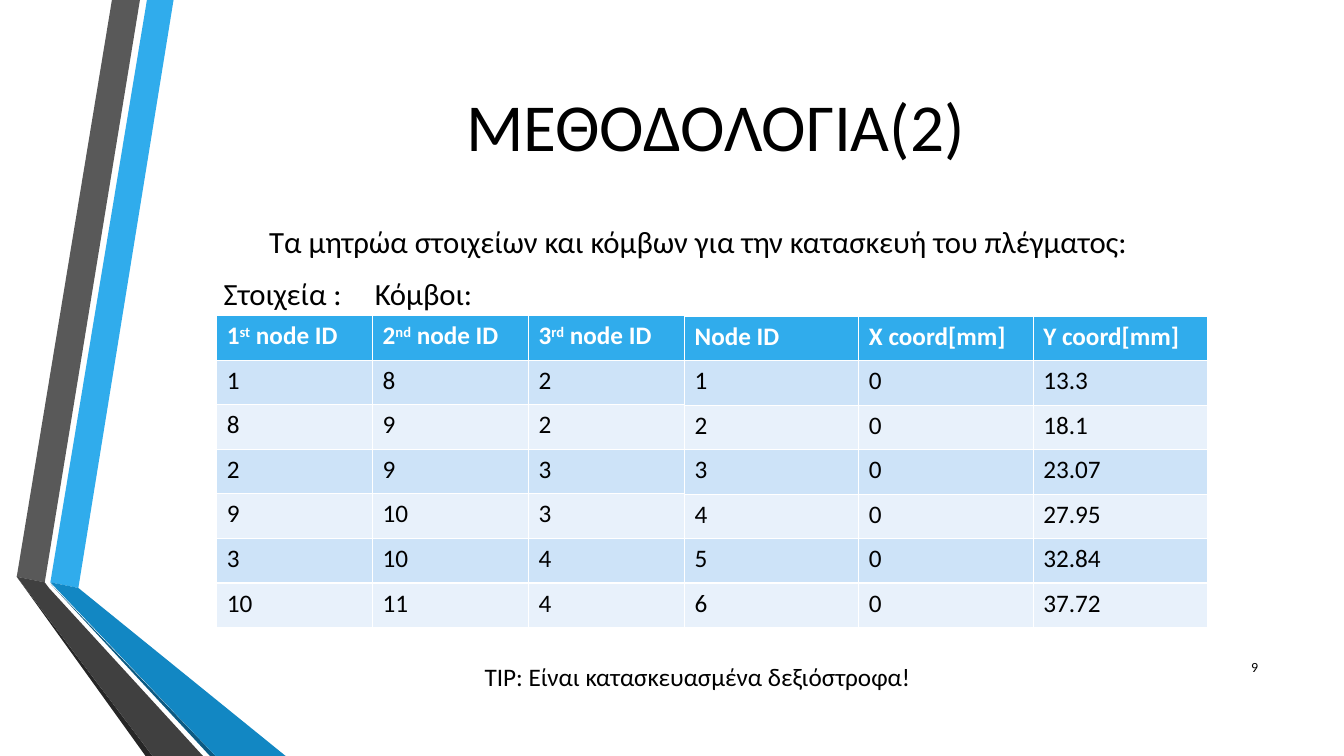
from lxml import etree
from pptx import Presentation
from pptx.dml.color import RGBColor
from pptx.enum.text import MSO_ANCHOR, MSO_AUTO_SIZE, PP_ALIGN
from pptx.oxml.ns import qn
from pptx.util import Pt

LEFT, CENTER, RIGHT = PP_ALIGN.LEFT, PP_ALIGN.CENTER, PP_ALIGN.RIGHT
TOP, MIDDLE = MSO_ANCHOR.TOP, MSO_ANCHOR.MIDDLE
NO_AUTOFIT = MSO_AUTO_SIZE.NONE

BLACK = RGBColor(0x00, 0x00, 0x00)
WHITE = RGBColor(0xFF, 0xFF, 0xFF)
BLUE = RGBColor(0x30, 0xAC, 0xEC)
MID_BLUE = RGBColor(0x12, 0x87, 0xC3)
DEEP_BLUE = RGBColor(0x0C, 0x5A, 0x82)
GRAY = RGBColor(0x59, 0x59, 0x59)
DARK_GRAY = RGBColor(0x40, 0x40, 0x40)
DEEP_GRAY = RGBColor(0x26, 0x26, 0x26)
BANDS = (RGBColor(0xE8, 0xF1, 0xFB), RGBColor(0xCD, 0xE3, 0xF8))
FONT = "Calibri"

TITLE = "ΜΕΘΟΔΟΛΟΓΙΑ(2)"
INTRO = "Τα μητρώα στοιχείων και κόμβων για την κατασκευή του πλέγματος:"
TABLE_LABELS = "\tΣτοιχεία :\tΚόμβοι:"
LABEL_TABS = (169, 540.5)
TIP = "TIP: Είναι κατασκευασμένα δεξιόστροφα!"
SLIDE_NUMBER = "9"

# Text between carets is superscript.
ELEMENTS = [
    ("1^st^ node ID", "2^nd^ node ID", "3^rd^ node ID"),
    ("1", "8", "2"),
    ("8", "9", "2"),
    ("2", "9", "3"),
    ("9", "10", "3"),
    ("3", "10", "4"),
    ("10", "11", "4"),
]
NODES = [
    ("Node ID", "X coord[mm]", "Y coord[mm]"),
    ("1", "0", "13.3"),
    ("2", "0", "18.1"),
    ("3", "0", "23.07"),
    ("4", "0", "27.95"),
    ("5", "0", "32.84"),
    ("6", "0", "37.72"),
]
# Rows, left, top, width, height
TABLES = [
    (ELEMENTS, 154.8, 225.4, 334.2, 223),
    (NODES, 489, 226, 373.5, 222.4),
]
RIBBONS = [
    (BLUE, [(36, 416.2), (55.6, 419.8), (124.5, 0), (104.6, 0)]),
    (GRAY, [(100, 0), (80, 0), (11.8, 412.5), (31.6, 415.6)]),
    (DEEP_GRAY, [(11.8, 412.5), (104.5, 540), (108.6, 540)]),
    (DEEP_BLUE, [(36, 416.8), (150, 540), (154, 540)]),
    (MID_BLUE, [(36, 416.2), (154, 540), (203.8, 540), (55.6, 419.8)]),
    (DARK_GRAY, [(145.3, 540), (34.6, 419.8), (31.6, 415.6), (11.8, 412.5), (108.6, 540)]),
]


def write(paragraph, text, size=18, color=BLACK, bold=False, align=LEFT):
    paragraph.alignment = align
    for index, part in enumerate(text.split("^")):
        run = paragraph.add_run()
        run.text = part
        run.font.name = FONT
        run.font.size = Pt(size)
        run.font.bold = bold
        run.font.color.rgb = color
        if index % 2:
            run.font._element.set("baseline", "30000")


def place(shape, left, top, width, height, anchor=MIDDLE):
    shape.left, shape.top = Pt(left), Pt(top)
    shape.width, shape.height = Pt(width), Pt(height)
    frame = shape.text_frame
    frame.word_wrap = True
    frame.auto_size = NO_AUTOFIT
    frame.vertical_anchor = anchor
    return frame


def add_text_box(slide, text, left, top, width, height, anchor=TOP, **style):
    box = slide.shapes.add_textbox(0, 0, 0, 0)
    frame = place(box, left, top, width, height, anchor)
    write(frame.paragraphs[0], text, **style)


def remove_bullet(paragraph, tabs=()):
    properties = paragraph._p.get_or_add_pPr()
    properties.set("marL", "0")
    properties.set("indent", "0")
    etree.SubElement(properties, qn("a:buNone"))
    if tabs:
        tab_list = etree.SubElement(properties, qn("a:tabLst"))
        for position in tabs:
            etree.SubElement(tab_list, qn("a:tab"), pos=str(Pt(position)), algn="l")


def add_ribbon(slide, color, points):
    builder = slide.shapes.build_freeform(*points[0], scale=Pt(1))
    builder.add_line_segments(points[1:], close=True)
    ribbon = builder.convert_to_shape()
    ribbon.shadow.inherit = False
    ribbon.fill.solid()
    ribbon.fill.fore_color.rgb = color
    ribbon.line.fill.background()


def add_data_table(slide, rows, left, top, width, height):
    columns = len(rows[0])
    table = slide.shapes.add_table(
        len(rows), columns, Pt(left), Pt(top), Pt(width), Pt(height)
    ).table
    for column in table.columns:
        column.width = Pt(width / columns)
    for row_index, row in enumerate(rows):
        table.rows[row_index].height = Pt(height / len(rows))
        header = row_index == 0
        for column_index, text in enumerate(row):
            cell = table.cell(row_index, column_index)
            cell.fill.solid()
            cell.fill.fore_color.rgb = BLUE if header else BANDS[row_index % 2]
            write(cell.text_frame.paragraphs[0], text,
                  color=WHITE if header else BLACK, bold=header)


def main():
    presentation = Presentation()
    presentation.slide_width, presentation.slide_height = Pt(960), Pt(540)
    slide = presentation.slides.add_slide(presentation.slide_layouts[1])

    for color, points in RIBBONS:
        add_ribbon(slide, color, points)

    title = place(slide.shapes.title, 116.6, 54, 789.1, 70.6)
    write(title.paragraphs[0], TITLE, size=48, align=CENTER)

    body = place(slide.placeholders[1], 116.6, 155.5, 764, 70, TOP)
    intro, labels = body.paragraphs[0], body.add_paragraph()
    remove_bullet(intro)
    remove_bullet(labels, LABEL_TABS)
    intro.space_before = Pt(0)
    intro.space_after = Pt(6)
    labels.space_before = Pt(4.4)
    write(intro, INTRO, size=22, align=CENTER)
    write(labels, TABLE_LABELS, size=22)

    for rows, *frame in TABLES:
        add_data_table(slide, rows, *frame)

    add_text_box(slide, SLIDE_NUMBER, 862.6, 462.2, 43.2, 28.8,
                 anchor=MIDDLE, size=10, align=RIGHT)
    add_text_box(slide, TIP, 339, 468.7, 345, 29)
    presentation.save("out.pptx")


if __name__ == "__main__":
    main()
